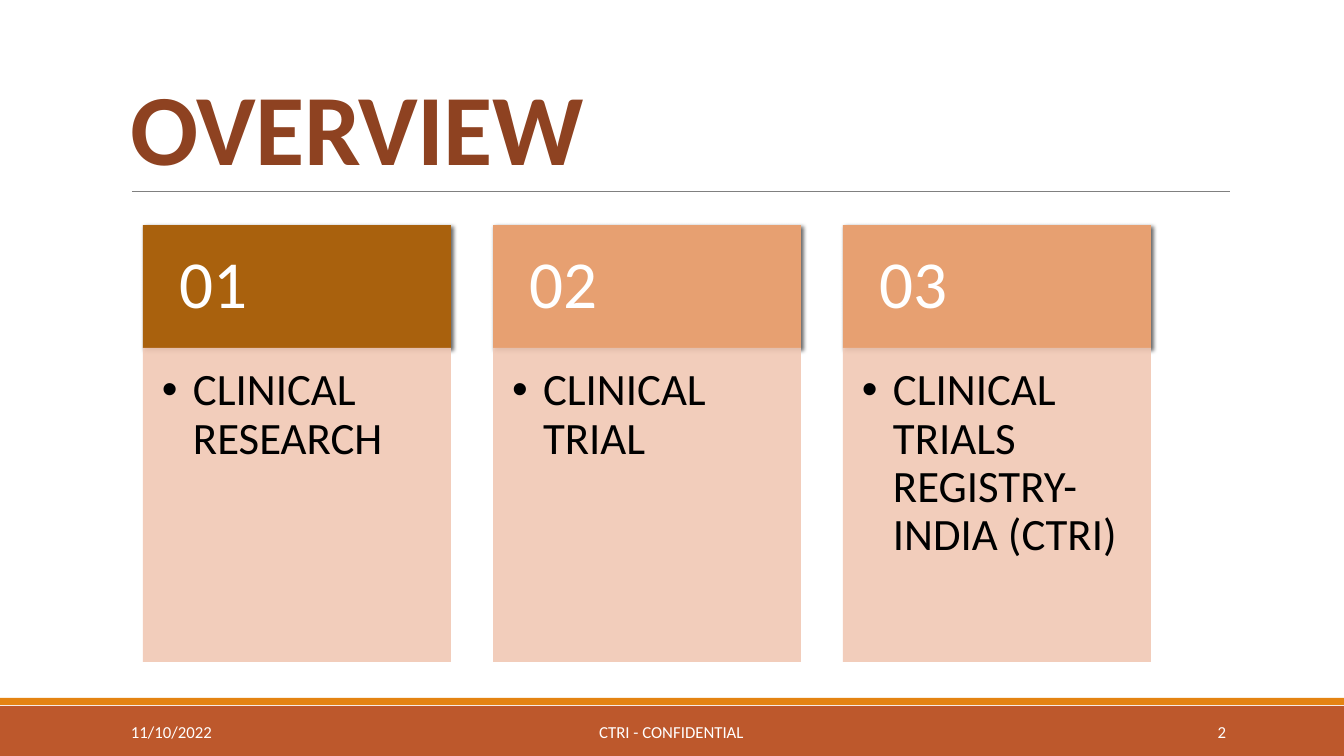
from lxml import etree
from pptx import Presentation
from pptx import util as u
from pptx.dml.color import RGBColor
from pptx.enum import shapes, text
from pptx.oxml import parse_xml
from pptx.oxml.ns import nsdecls, qn

SLIDE_WIDTH, SLIDE_HEIGHT = 1344, 756
EMU_PER_PX = 12192000 / SLIDE_WIDTH

WHITE = RGBColor(0xFF, 0xFF, 0xFF)
BLACK = RGBColor(0x00, 0x00, 0x00)
GREY = RGBColor(0x80, 0x80, 0x80)
RUST = RGBColor(0xBD, 0x58, 0x2C)
ORANGE = RGBColor(0xE4, 0x83, 0x12)
TITLE_BROWN = RGBColor(0x8E, 0x42, 0x21)
OCHRE = RGBColor(0xA9, 0x61, 0x0D)
PEACH = RGBColor(0xE7, 0xA0, 0x71)
PALE_PEACH = RGBColor(0xF1, 0xC8, 0xB4)

TOPICS = [
    ("01", "CLINICAL RESEARCH", OCHRE),
    ("02", "CLINICAL TRIAL", PEACH),
    ("03", "CLINICAL TRIALS REGISTRY-INDIA (CTRI)", PEACH),
]
CARD_LEFT, CARD_TOP, CARD_WIDTH, CARD_STEP = 143, 225, 308, 350
HEADER_HEIGHT, BODY_HEIGHT = 123, 314


def px(length):
    """Turn pixels into EMU."""
    return u.Emu(round(length * EMU_PER_PX))


def write(holder, wording, *, size, color, bold=False, spacing=None, line=None,
          align=text.PP_ALIGN.LEFT, anchor=text.MSO_ANCHOR.MIDDLE,
          insets=(10, 5, 10, 5), bullet_indent=0):
    """Put formatted wording into a shape or text box."""
    frame = holder.text_frame
    frame.word_wrap = True
    frame.vertical_anchor = anchor
    (frame.margin_left, frame.margin_top,
     frame.margin_right, frame.margin_bottom) = map(px, insets)
    paragraph = frame.paragraphs[0]
    paragraph.alignment = align
    if line:
        paragraph.line_spacing = line
    if bullet_indent:
        props = paragraph._p.get_or_add_pPr()
        props.set("marL", str(px(bullet_indent)))
        props.set("indent", str(-px(bullet_indent)))
        etree.SubElement(props, qn("a:buFont"), typeface="Arial")
        etree.SubElement(props, qn("a:buChar"), char="•")
    run = paragraph.add_run()
    run.text = wording
    run.font.name = "Calibri"
    run.font.size = u.Pt(size)
    run.font.bold = bold
    run.font.color.rgb = color
    if spacing is not None:
        run._r.get_or_add_rPr().set("spc", str(round(spacing * 100)))


def add_label(slide, box, wording, **style):
    """Add a text box with formatted wording."""
    write(slide.shapes.add_textbox(*map(px, box)), wording, **style)


def add_block(slide, box, color, opacity=100):
    """Add a borderless filled rectangle."""
    block = slide.shapes.add_shape(shapes.MSO_SHAPE.RECTANGLE, *map(px, box))
    block.shadow.inherit = False
    block.line.fill.background()
    block.fill.solid()
    block.fill.fore_color.rgb = color
    if opacity < 100:
        fill_color = block._element.spPr.find(".//" + qn("a:srgbClr"))
        etree.SubElement(fill_color, qn("a:alpha"), val=str(opacity * 1000))
    return block


def add_drop_shadow(block):
    """Give a block a soft shadow towards the lower right."""
    effects = block._element.spPr.find(qn("a:effectLst"))
    effects.append(parse_xml(
        f'<a:outerShdw {nsdecls("a")} blurRad="38100" dist="25400" dir="2700000" '
        'algn="br" rotWithShape="0"><a:srgbClr val="000000">'
        '<a:alpha val="60000"/></a:srgbClr></a:outerShdw>'))


def add_rule(slide, left, right, y):
    """Add the thin line under the title."""
    rule = slide.shapes.add_connector(
        shapes.MSO_CONNECTOR.STRAIGHT, px(left), px(y), px(right), px(y))
    rule.line.color.rgb = GREY
    rule.line.width = u.Pt(0.5)
    etree.SubElement(rule._element.spPr, qn("a:effectLst"))


def add_card(slide, left, number, topic, color):
    """Add a numbered header with its topic below."""
    header = add_block(slide, (left, CARD_TOP, CARD_WIDTH, HEADER_HEIGHT), color)
    add_drop_shadow(header)
    write(header, number, size=48, color=WHITE, line=0.9, insets=(37, 21, 37, 21))
    body = add_block(slide, (left, CARD_TOP + HEADER_HEIGHT, CARD_WIDTH, BODY_HEIGHT),
                     PALE_PEACH, opacity=90)
    write(body, topic, size=32, color=BLACK, line=0.9, anchor=text.MSO_ANCHOR.TOP,
          insets=(19, 19, 25, 28), bullet_indent=31)


def add_footer(slide):
    """Add the footer bands, date, notice and page number."""
    add_block(slide, (0, 706, SLIDE_WIDTH, 50), RUST)
    add_block(slide, (0, 698, SLIDE_WIDTH, 7), ORANGE)
    for left, width, wording, align in (
        (121, 272, "11/10/2022", text.PP_ALIGN.LEFT),
        (406, 531, "CTRI - CONFIDENTIAL", text.PP_ALIGN.CENTER),
        (1092, 144, "2", text.PP_ALIGN.RIGHT),
    ):
        add_label(slide, (left, 712, width, 40), wording,
                  size=12, color=WHITE, align=align)


def main():
    """Build the overview slide and save it."""
    deck = Presentation()
    deck.slide_width, deck.slide_height = px(SLIDE_WIDTH), px(SLIDE_HEIGHT)
    slide = deck.slides.add_slide(deck.slide_layouts[6])
    add_footer(slide)
    add_rule(slide, 132, 1230, 191)
    add_label(slide, (121, 31, 1109, 160), "OVERVIEW", size=72, color=TITLE_BROWN,
              bold=True, spacing=-0.5, line=0.85, anchor=text.MSO_ANCHOR.BOTTOM)
    for index, (number, topic, color) in enumerate(TOPICS):
        add_card(slide, CARD_LEFT + index * CARD_STEP, number, topic, color)
    deck.save("out.pptx")


if __name__ == "__main__":
    main()
